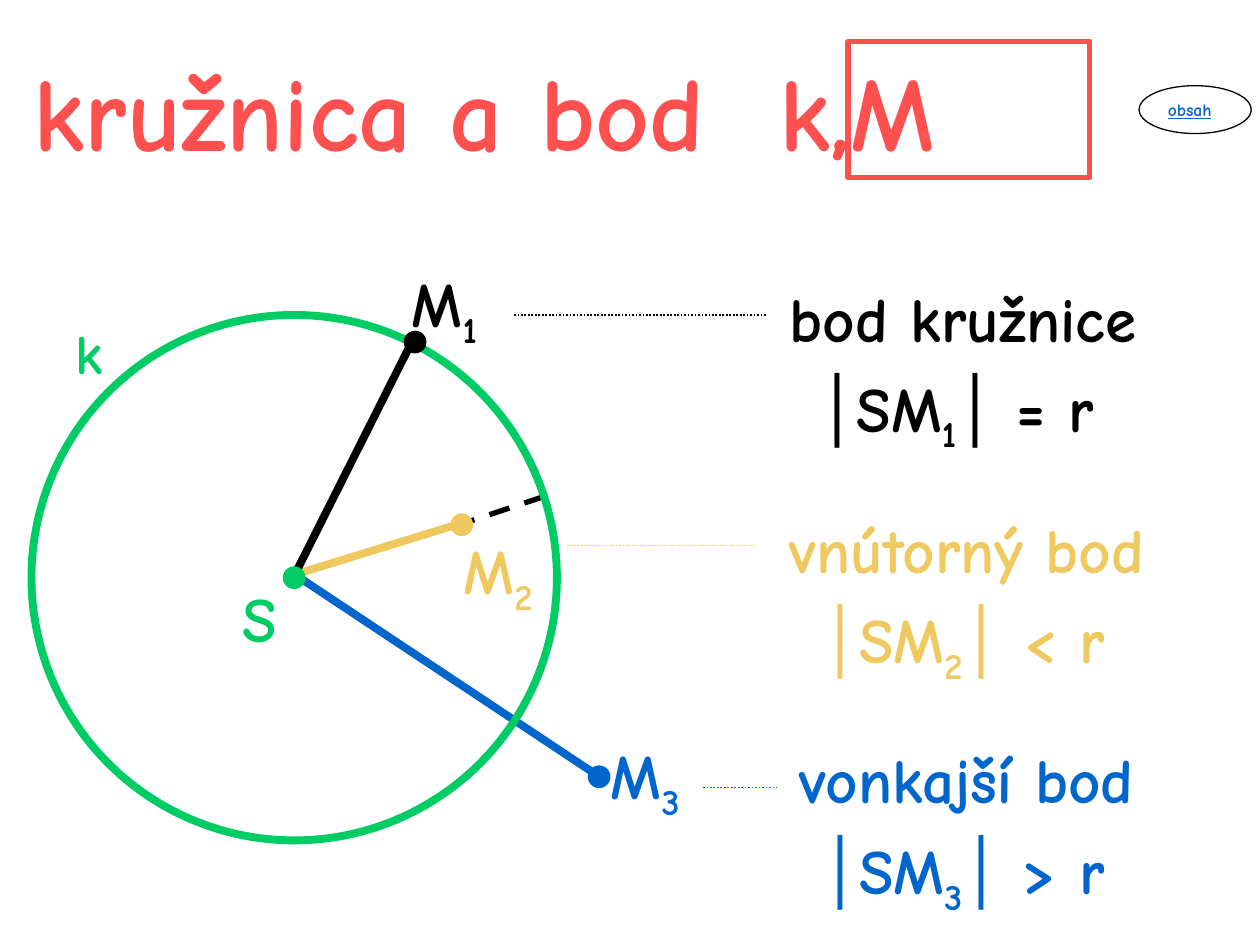
from lxml import etree
from pptx import Presentation
from pptx import util as u
from pptx.dml.color import RGBColor
from pptx.enum import dml, shapes, text
from pptx.oxml.ns import qn

PX = 9144  # 100 px to the inch
FONT = "Comic Neue"
RED = RGBColor(0xFF, 0x50, 0x50)
GREEN = RGBColor(0x00, 0xCC, 0x66)
BLUE = RGBColor(0x00, 0x66, 0xCC)
GOLD = RGBColor(0xEF, 0xC9, 0x5F)
BLACK = RGBColor(0, 0, 0)
WHITE = RGBColor(0xFF, 0xFF, 0xFF)
OVAL = shapes.MSO_SHAPE.OVAL
DOT = shapes.MSO_SHAPE.FLOWCHART_CONNECTOR
SOLID = dml.MSO_LINE.SOLID
DOTS = dml.MSO_LINE.ROUND_DOT

deck = Presentation()
deck.slide_width, deck.slide_height = 1000 * PX, 750 * PX
slide = deck.slides.add_slide(deck.slide_layouts[6])


def write(parts, box, size, color):
    """Add a text box; every second part is a subscript."""
    label = slide.shapes.add_textbox(*[v * PX for v in box])
    frame = label.text_frame
    frame.word_wrap = True
    para = frame.paragraphs[0]
    for i, part in enumerate(parts):
        run = para.add_run()
        run.text = part
        font = run.font
        font.name, font.size, font.bold = FONT, u.Pt(size), True
        font.color.rgb = color
        if i % 2:
            font._element.set("baseline", "-25000")
    return frame


def shape(kind, box, line, width, fill=None):
    item = slide.shapes.add_shape(kind, *[v * PX for v in box])
    item.shadow.inherit = False
    item.line.color.rgb = line
    item.line.width = u.Pt(width)
    if fill is None:
        item.fill.background()
    else:
        item.fill.solid()
        item.fill.fore_color.rgb = fill
    return item


# Heading
title = write(["kružnica a bod  k,M"], (17, 25, 900, 117), 60, RED)
title.vertical_anchor = text.MSO_ANCHOR.BOTTOM
shape(shapes.MSO_SHAPE.RECTANGLE, (673, 33, 192, 108), RED, 3)

# Segments from the centre, the rest of the radius, and dotted leaders
for x1, y1, x2, y2, color, width, dash in [
    (231, 454, 469, 612, BLUE, 4.5, SOLID),
    (367, 415, 234, 456, GOLD, 4.5, SOLID),
    (325, 275, 233, 458, BLACK, 4.5, SOLID),
    (432, 394, 372, 414, BLACK, 3, dml.MSO_LINE.DASH),
    (558, 625, 617, 625, BLUE, 1, DOTS),
    (450, 433, 600, 433, GOLD, 1, DOTS),
    (408, 250, 608, 250, BLACK, 1, DOTS),
]:
    line = slide.shapes.add_connector(
        shapes.MSO_CONNECTOR.STRAIGHT, x1 * PX, y1 * PX, x2 * PX, y2 * PX)
    line.line.color.rgb = color
    line.line.width = u.Pt(width)
    line.line.dash_style = dash
    etree.SubElement(line._element.spPr, qn("a:effectLst"))

# Circle with its centre
shape(OVAL, (25, 250, 417, 417), GREEN, 4.5)
shape(DOT, (225, 450, 17, 17), GREEN, 0.75, GREEN)
write(["S"], (183, 455, 55, 70), 36, GREEN)
write(["k"], (50, 248, 44, 63), 32, GREEN)

# Each point: dot, name, description and distance rule
for num, color, dot, name, desc, rule, words, sign in [
    ("1", BLACK, (321, 263), (317, 205), (617, 217), (640, 288), "bod kružnice", "="),
    ("2", GOLD, (358, 408), (358, 417), (617, 400), (642, 472), "vnútorný bod", "<"),
    ("3", BLUE, (467, 608), (475, 580), (625, 583), (642, 655), "vonkajší bod", ">"),
]:
    shape(DOT, (*dot, 17, 17), color, 0.75, color)
    write(["M", num], (*name, 85, 70), 36, color)
    write([words], (*desc, 342, 70), 36, color)
    write(["│SM", num, f"│ {sign} r"], (*rule, 300, 70), 36, color)

# Contents button
button = shape(OVAL, (904, 68, 89, 38), BLACK, 0.75, WHITE)
frame = button.text_frame
frame.text = "obsah"
frame.word_wrap = False
frame.vertical_anchor = text.MSO_ANCHOR.MIDDLE
para = frame.paragraphs[0]
para.alignment = text.PP_ALIGN.LEFT
font = para.runs[0].font
font.name, font.size, font.bold, font.underline = FONT, u.Pt(10), True, True
font.color.rgb = BLUE

deck.save("out.pptx")
